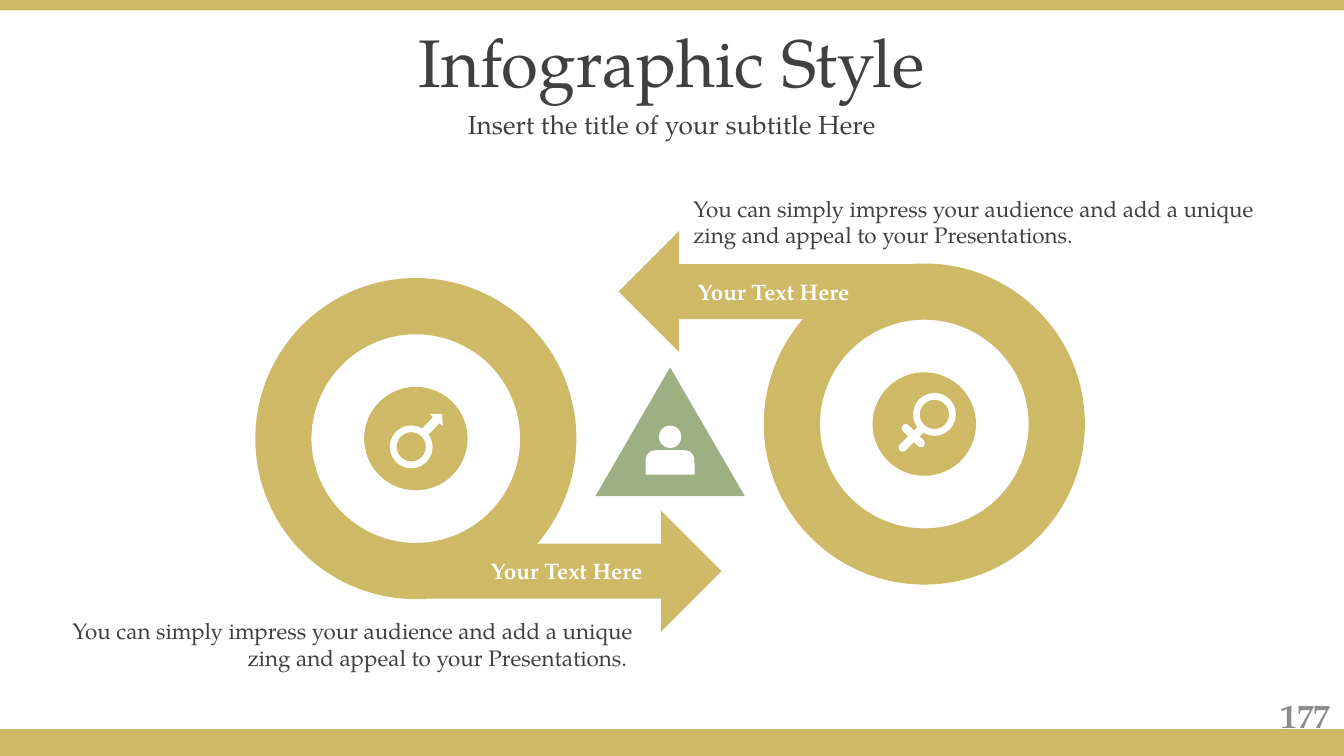
from dataclasses import dataclass

from pptx import Presentation
from pptx.dml.color import RGBColor
from pptx.enum.shapes import MSO_SHAPE
from pptx.enum.text import MSO_ANCHOR, PP_ALIGN
from pptx.util import Pt

RECTANGLE, OVAL, DONUT = MSO_SHAPE.RECTANGLE, MSO_SHAPE.OVAL, MSO_SHAPE.DONUT
RIGHT_ARROW, UP_ARROW = MSO_SHAPE.RIGHT_ARROW, MSO_SHAPE.UP_ARROW
TRIANGLE, PILL = MSO_SHAPE.ISOSCELES_TRIANGLE, MSO_SHAPE.ROUNDED_RECTANGLE
SHOULDERS = MSO_SHAPE.ROUND_2_SAME_RECTANGLE
TOP, MIDDLE = MSO_ANCHOR.TOP, MSO_ANCHOR.MIDDLE
LEFT, CENTER, RIGHT = PP_ALIGN.LEFT, PP_ALIGN.CENTER, PP_ALIGN.RIGHT


@dataclass(frozen=True)
class Theme:
    """Hold the colours, font and type sizes of the slide."""
    gold: RGBColor = RGBColor(0xCE, 0xB9, 0x66)
    green: RGBColor = RGBColor(0x9C, 0xB0, 0x84)
    white: RGBColor = RGBColor(0xFF, 0xFF, 0xFF)
    ink: RGBColor = RGBColor(0x40, 0x40, 0x40)
    grey: RGBColor = RGBColor(0x8C, 0x8C, 0x8C)
    font: str = "TeX Gyre Pagella"
    title: int = 36
    number: int = 18
    subtitle: int = 14
    body: int = 12


THEME = Theme()
WIDTH, HEIGHT = 720, 405
LOOP_SIZE = (249.8, 189.4)
RING, HUB = 172, 55.4
CAPTION = ("You can simply impress your audience and add a unique "
           "zing and appeal to your Presentations.")


def add_figure(slide, preset, box, color, adjustments=(), rotation=0):
    """Add a flat preset shape in a (left, top, width, height) box."""
    figure = slide.shapes.add_shape(preset, *map(Pt, box))
    figure.shadow.inherit = False
    figure.fill.solid()
    figure.fill.fore_color.rgb = color
    figure.line.fill.background()
    figure.rotation = rotation
    for index, value in enumerate(adjustments):
        figure.adjustments[index] = value


def add_text(slide, box, text, size, color, align=LEFT, anchor=TOP, bold=False):
    """Add a wrapped one-paragraph text box."""
    frame = slide.shapes.add_textbox(*map(Pt, box)).text_frame
    frame.word_wrap = True
    frame.vertical_anchor = anchor
    paragraph = frame.paragraphs[0]
    paragraph.text = text
    paragraph.alignment = align
    paragraph.font.name = THEME.font
    paragraph.font.size = Pt(size)
    paragraph.font.color.rgb = color
    paragraph.font.bold = bold


def add_frame(slide, width, height):
    """Add the bands along the top and bottom edges."""
    add_figure(slide, RECTANGLE, (0, height - 14.4, width, 14.4), THEME.gold)
    add_figure(slide, RECTANGLE, (0, 0, width, 5.6), THEME.gold)


def add_heading(slide, left, top, width):
    """Add the centred title and subtitle."""
    add_text(slide, (left, top, width, 45.4), "Infographic Style",
             THEME.title, THEME.ink, CENTER, MIDDLE)
    add_text(slide, (left, top + 45.4, width, 22.3),
             "Insert the title of your subtitle Here",
             THEME.subtitle, THEME.ink, CENTER, MIDDLE)


def add_male_sign(slide, left, top):
    """Add the ring and arrow of the male sign on a hub."""
    add_figure(slide, DONUT, (left + 13.7, top + 20.6, 23, 23),
               THEME.white, [0.158])
    add_figure(slide, UP_ARROW, (left + 31.7, top + 12.2, 9.4, 15.8),
               THEME.white, rotation=43.9)


def add_female_sign(slide, left, top):
    """Add the ring and cross of the female sign on a hub."""
    add_figure(slide, DONUT, (left + 21.6, top + 11, 23, 23),
               THEME.white, [0.158])
    add_figure(slide, PILL, (left + 18.7, top + 26.5, 4.3, 18),
               THEME.white, [0.5], 45)
    add_figure(slide, PILL, (left + 19.6, top + 26, 4.3, 15.8),
               THEME.white, [0.5], 135)


def add_loop(slide, left, top, add_sign, turned=False):
    """Add a ring with its arrow, hub, sign and label, optionally half-turned."""
    def place(x, y, width, height):
        if turned:
            x, y = LOOP_SIZE[0] - x - width, LOOP_SIZE[1] - y - height
        return left + x, top + y, width, height

    inset = (RING - HUB) / 2
    hub = place(inset, inset, HUB, HUB)
    add_figure(slide, DONUT, place(0, 0, RING, RING), THEME.gold, [0.175])
    add_figure(slide, RIGHT_ARROW, place(93.6, 124.6, 156.2, 64.8),
               THEME.gold, [0.455, 0.5], 180 if turned else 0)
    add_figure(slide, OVAL, hub, THEME.gold)
    add_sign(slide, *hub[:2])
    add_text(slide, place(30.2, 146.2, 184.3, 21.6), "Your Text Here",
             THEME.body, THEME.white, LEFT if turned else RIGHT, bold=True)


def add_person_triangle(slide, left, top, width, height):
    """Add the central triangle with a person in it."""
    middle = left + width / 2
    add_figure(slide, TRIANGLE, (left, top, width, height), THEME.green)
    add_figure(slide, OVAL, (middle - 6, top + 31.2, 12, 12), THEME.white)
    add_figure(slide, SHOULDERS, (middle - 13.1, top + 44.4, 26.2, 13),
               THEME.white, [0.39, 0])


def main():
    """Build and save the slide."""
    deck = Presentation()
    deck.slide_width, deck.slide_height = Pt(WIDTH), Pt(HEIGHT)
    slide = deck.slides.add_slide(deck.slide_layouts[6])
    add_frame(slide, WIDTH, HEIGHT)
    add_heading(slide, 0, 10, WIDTH)
    add_loop(slide, 136.8, 149, add_male_sign)
    add_loop(slide, 331.4, 123.8, add_female_sign, turned=True)
    add_person_triangle(slide, 319, 196.8, 80, 69)
    add_text(slide, (364.3, 100.8, 317.5, 36), CAPTION, THEME.body, THEME.ink)
    add_text(slide, (28.8, 327, 317.5, 36), CAPTION + " ",
             THEME.body, THEME.ink, RIGHT)
    add_text(slide, (552, 372.4, 168, 21.6), "177",
             THEME.number, THEME.grey, RIGHT, MIDDLE, True)
    deck.save("out.pptx")


if __name__ == "__main__":
    main()
